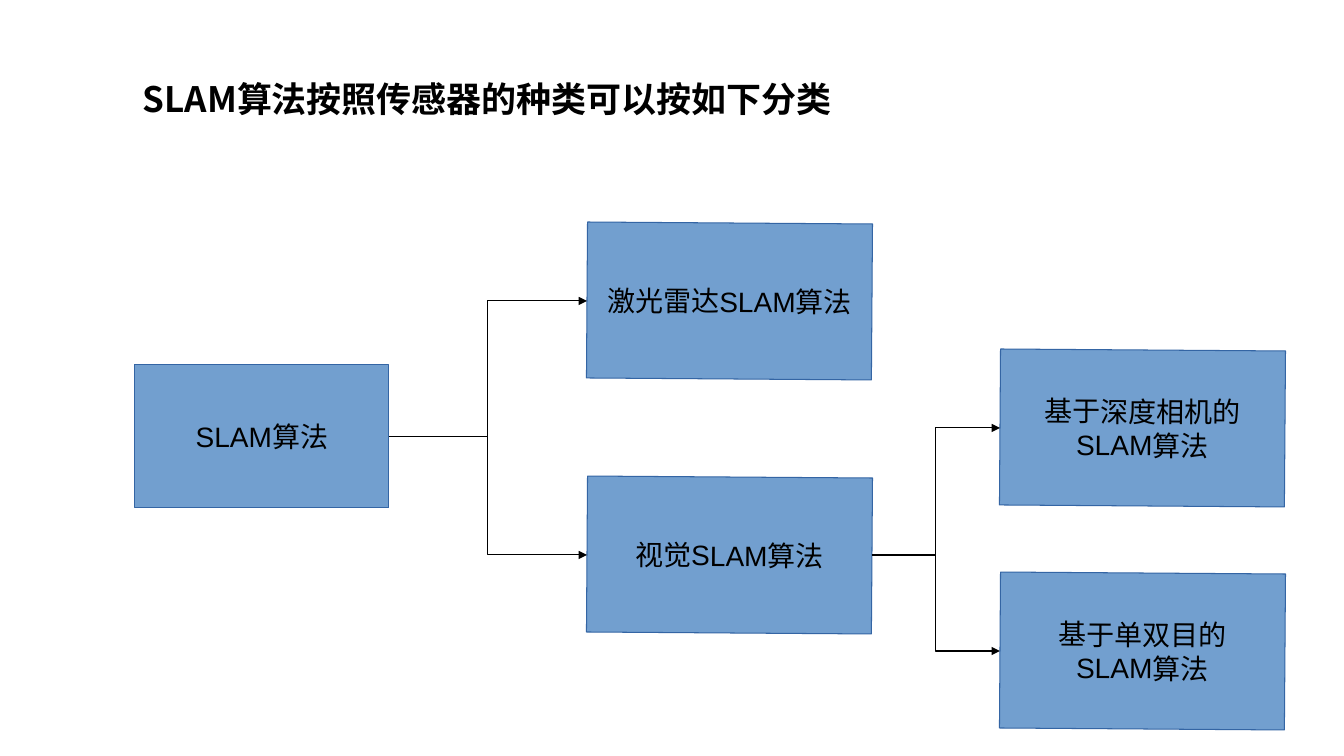
from lxml import etree
from pptx import Presentation
from pptx import util as u
from pptx.dml.color import RGBColor
from pptx.enum import shapes, text
from pptx.oxml import ns

PX = 914400 / 100.8
LEFT_SITE, RIGHT_SITE = 1, 3


def px(*lengths):
    """Turn pixel lengths into EMU."""
    return [u.Emu(round(length * PX)) for length in lengths]


def color(hex_string):
    """Return the colour of a hex string."""
    return RGBColor.from_string(hex_string)


def add_child(parent, tag, **attributes):
    """Append a drawing element to a parent."""
    return etree.SubElement(parent, ns.qn(tag), attributes)


def style_paragraph(paragraph, size, font_name, bold=False):
    """Set the black font of a paragraph."""
    font = paragraph.font
    font.size, font.name, font.bold = u.Pt(size), font_name, bold
    font.color.rgb = color("000000")


def add_title(slide, box, wording):
    """Place the heading, raised slightly within its box."""
    title = slide.shapes.add_textbox(*px(*box))
    frame = title.text_frame
    frame.word_wrap = True
    frame.vertical_anchor = text.MSO_ANCHOR.MIDDLE
    frame.margin_left = frame.margin_right = frame.margin_top = 0
    frame.margin_bottom = px(40)[0]
    heading = frame.paragraphs[0]
    heading.text = wording
    style_paragraph(heading, 25, "Noto Sans CJK SC", True)
    defaults = heading._p.pPr.find(ns.qn("a:defRPr"))
    add_child(defaults, "a:ea", typeface="Noto Sans CJK SC")


def add_node(slide, box, wording, rotation=0.4):
    """Place one algorithm class of the tree."""
    node = slide.shapes.add_shape(shapes.MSO_SHAPE.RECTANGLE, *px(*box))
    node.rotation = rotation
    node.shadow.inherit = False
    node.fill.solid()
    node.fill.fore_color.rgb = color("729FCF")
    node.line.color.rgb = color("3465A4")
    node.line.width = u.Pt(0.75)
    frame = node.text_frame
    frame.word_wrap = False
    frame.vertical_anchor = text.MSO_ANCHOR.MIDDLE
    frame.text = wording
    for paragraph in frame.paragraphs:
        paragraph.alignment = text.PP_ALIGN.CENTER
        style_paragraph(paragraph, 20, "Arial")
    return node


def add_branch(slide, parent, child):
    """Join a class to its subclass with an elbow arrow."""
    branch = slide.shapes.add_connector(shapes.MSO_CONNECTOR.ELBOW, 0, 0, 0, 0)
    branch.begin_connect(parent, RIGHT_SITE)
    branch.end_connect(child, LEFT_SITE)
    branch.line.color.rgb = color("000000")
    branch.line.width = u.Pt(0.75)
    add_child(branch.line._get_or_add_ln(), "a:tailEnd", type="triangle")
    add_child(branch._element.spPr, "a:effectLst")


def add_tree(slide, box):
    """Place the classification tree from its top left corner."""
    left, top = box
    width, height = 285, 156
    middle, right = left + 452, left + 865
    root = add_node(slide, (left, top + 142, 254, 143), "SLAM算法", 0)
    lidar = add_node(slide, (middle, top, width, height), "激光雷达SLAM算法")
    visual = add_node(slide, (middle, top + 254, width, height), "视觉SLAM算法")
    depth = add_node(slide, (right, top + 127, width, height),
                     "基于深度相机的\nSLAM算法")
    monocular = add_node(slide, (right, top + 350, width, height),
                         "基于单双目的\nSLAM算法")
    for parent, child in ((root, lidar), (root, visual),
                          (visual, depth), (visual, monocular)):
        add_branch(slide, parent, child)


def main():
    """Build and save the slide."""
    deck = Presentation()
    deck.slide_width, deck.slide_height = px(1344, 756)
    slide = deck.slides.add_slide(deck.slide_layouts[6])
    add_title(slide, (143, 39, 944, 160), "SLAM算法按照传感器的种类可以按如下分类")
    add_tree(slide, (135, 223))
    deck.save("out.pptx")


if __name__ == "__main__":
    main()
